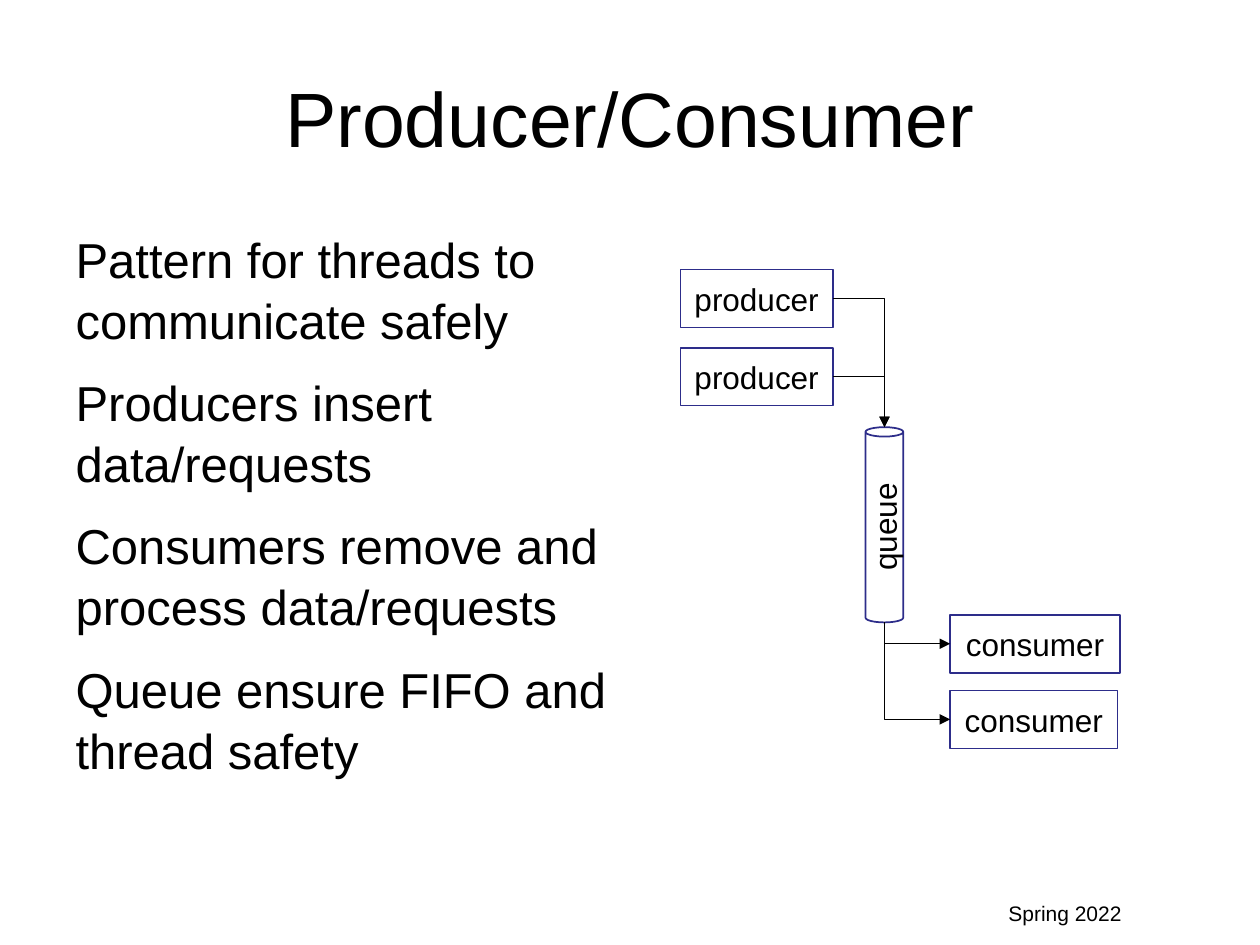
from pptx import Presentation
from pptx.dml.color import RGBColor
from pptx.enum.shapes import MSO_CONNECTOR, MSO_SHAPE as SHAPE
from pptx.enum.text import MSO_ANCHOR as ANCHOR, MSO_AUTO_SIZE as FIT, PP_ALIGN as ALIGN
from pptx.oxml.ns import qn
from pptx.util import Pt
from lxml import etree

BLACK = RGBColor(0x00, 0x00, 0x00)
WHITE = RGBColor(0xFF, 0xFF, 0xFF)
NAVY = RGBColor(0x2D, 0x2D, 0x8A)

prs = Presentation()
prs.slide_width, prs.slide_height = Pt(720), Pt(540)
s = prs.slides.add_slide(prs.slide_layouts[1])


def place(sp, left, top, width, height):
    box = {"left": left, "top": top, "width": width, "height": height}
    for name, value in box.items():
        setattr(sp, name, Pt(value))


def write(tf, lines, size, align, **para_format):
    tf.text = "\n".join(lines)
    for p in tf.paragraphs:
        for name, value in {"alignment": align, **para_format}.items():
            setattr(p, name, value)
        for r in p.runs:
            for name, value in {"name": "Arial", "size": Pt(size)}.items():
                setattr(r.font, name, value)
            r.font.color.rgb = BLACK


# Title
title = s.shapes.title
place(title, 36, 21.6, 648, 90)
title.text_frame.vertical_anchor = ANCHOR.MIDDLE
title.text_frame.auto_size = FIT.NONE
write(title.text_frame, ["Producer/Consumer"], 44, ALIGN.CENTER)

# Body list without bullets
body = s.placeholders[1]
place(body, 36, 126, 324, 356.4)
tf = body.text_frame
tf.auto_size = FIT.NONE
write(tf, [
    "Pattern for threads to communicate safely",
    "Producers insert data/requests",
    "Consumers remove and process data/requests",
    "Queue ensure FIFO and thread safety",
], 28, ALIGN.LEFT, space_before=Pt(12), line_spacing=1.04)
for p in tf.paragraphs:
    pPr = p._p.get_or_add_pPr()
    pPr.set("marL", "0")
    pPr.set("indent", "0")
    etree.SubElement(pPr, qn("a:buNone"))

# Footer
footer = s.shapes.add_textbox(Pt(71.3), Pt(511.2), Pt(576.7), Pt(21.6))
footer.text_frame.word_wrap = True
write(footer.text_frame, ["Spring 2022"], 12, ALIGN.RIGHT)

# Producers, consumers and queue
nodes = [
    ("producer", SHAPE.RECTANGLE, 388.8, 154.1, 87.1, 33.1),
    ("producer", SHAPE.RECTANGLE, 388.8, 198.7, 87.1, 33.1),
    ("consumer", SHAPE.RECTANGLE, 542.9, 351.4, 97.2, 33.1),
    ("consumer", SHAPE.RECTANGLE, 542.9, 394.6, 95.8, 33.1),
    ("queue", SHAPE.CAN, 494.6, 244.1, 21.6, 111.6),
]
for label, kind, left, top, width, height in nodes:
    sp = s.shapes.add_shape(kind, Pt(left), Pt(top), Pt(width), Pt(height))
    sp.shadow.inherit = False
    sp.fill.solid()
    sp.fill.fore_color.rgb = WHITE
    sp.line.color.rgb = NAVY
    sp.line.width = Pt(1)
    tf = sp.text_frame
    tf.word_wrap = False
    tf.vertical_anchor = ANCHOR.MIDDLE
    write(tf, [label], 18, ALIGN.CENTER)
    if kind == SHAPE.CAN:
        tf._txBody.bodyPr.set("vert", "vert270")

# Bent arrows: into the queue (right, down) and out of it (down, right)
QUEUE_X, QUEUE_TOP, QUEUE_BOTTOM = 505.4, 244.1, 355.7
arrows = [(475.9, y, QUEUE_X, QUEUE_TOP, False) for y in (170.6, 215.3)]
arrows += [(QUEUE_X, QUEUE_BOTTOM, 542.9, y, True) for y in (367.9, 411.1)]
for x1, y1, x2, y2, down_first in arrows:
    if down_first:
        # The frame is turned a quarter about the centre of the arrow
        cx, cy = (x1 + x2) / 2, (y1 + y2) / 2
        half_w, half_h = (y2 - y1) / 2, (x2 - x1) / 2
        x1, y1, x2, y2 = cx + half_w, cy - half_h, cx - half_w, cy + half_h
    arrow = s.shapes.add_connector(MSO_CONNECTOR.ELBOW, Pt(x1), Pt(y1), Pt(x2), Pt(y2))
    arrow.line.color.rgb = BLACK
    arrow.line.width = Pt(0.5)
    spPr = arrow._element.spPr
    spPr.find(qn("a:prstGeom")).set("prst", "bentConnector2")
    if down_first:
        spPr.find(qn("a:xfrm")).set("rot", "16200000")
    etree.SubElement(spPr.find(qn("a:ln")), qn("a:tailEnd"), type="triangle")
    etree.SubElement(spPr, qn("a:effectLst"))

prs.save("out.pptx")
